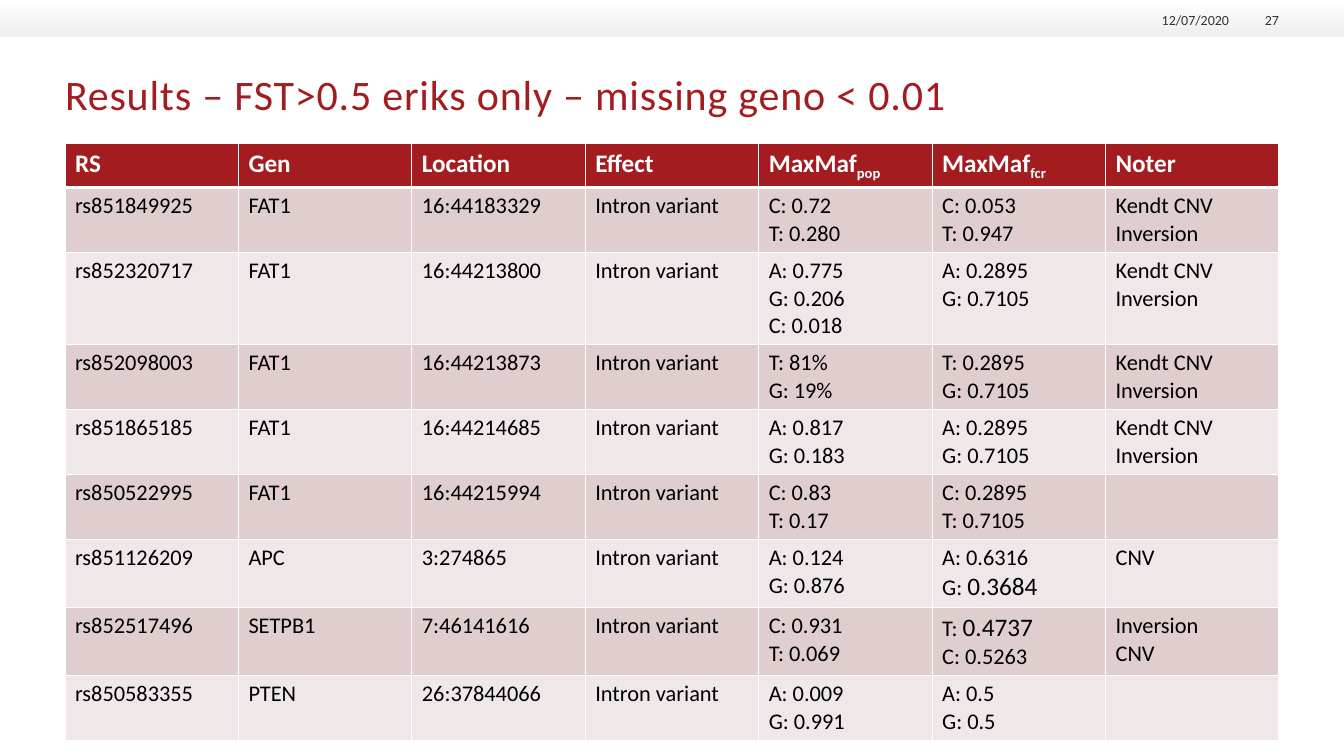
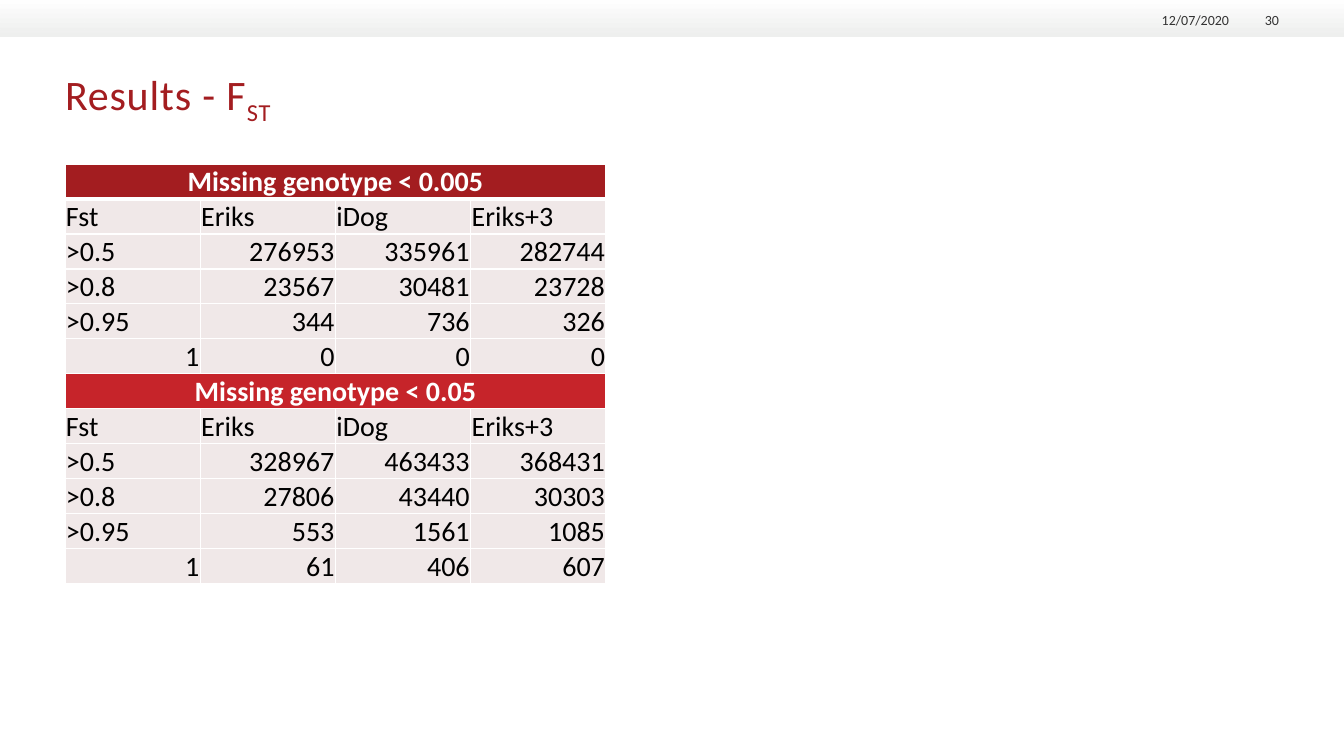
import pptx
import pptx.dml.color
import pptx.enum.shapes
import pptx.enum.text
import pptx.oxml
import pptx.oxml.ns
import pptx.util
import lxml.etree

SLIDE_WIDTH, SLIDE_HEIGHT = 1344, 756
EMU_PER_PX = 12192000 / SLIDE_WIDTH
FONT = "Calibri"
RED, BRIGHT_RED = "A31D20", "C6242A"
ROSE, PALE_ROSE = "E0CDCD", "F0E8E8"
WHITE, BLACK, GREY = "FFFFFF", "000000", "333333"
BAND_END = "EEEFEE"
DATE = "12/07/2020"
MARGIN, CONTENT_WIDTH = 65, 1214
ALIGN = pptx.enum.text.PP_ALIGN
ANCHOR = pptx.enum.text.MSO_ANCHOR
SUBSCRIPT = {"baseline": -25000}
LARGE = {"size": 18}

VARIANT_HEADINGS = ["RS", "Gen", "Location", "Effect",
                    [[("MaxMaf", {}), ("pop", SUBSCRIPT)]],
                    [[("MaxMaf", {}), ("fcr", SUBSCRIPT)]], "Noter"]
KNOWN = ["Kendt CNV", "Inversion"]
VARIANTS = [
    ("rs851849925", "FAT1", "16:44183329", ["C: 0.72", "T: 0.280"], ["C: 0.053", "T: 0.947"], KNOWN),
    ("rs852320717", "FAT1", "16:44213800", ["A: 0.775", "G: 0.206", "C: 0.018"],
     ["A: 0.2895", "G: 0.7105"], KNOWN),
    ("rs852098003", "FAT1", "16:44213873", ["T: 81%", "G: 19%"], ["T: 0.2895", "G: 0.7105"], KNOWN),
    ("rs851865185", "FAT1", "16:44214685", ["A: 0.817", "G: 0.183"], ["A: 0.2895", "G: 0.7105"], KNOWN),
    ("rs850522995", "FAT1", "16:44215994", ["C: 0.83", "T: 0.17"], ["C: 0.2895", "T: 0.7105"], ""),
    ("rs851126209", "APC", "3:274865", ["A: 0.124", "G: 0.876"],
     ["A: 0.6316", [("G: ", {}), ("0.3684", LARGE)]], "CNV"),
    ("rs852517496", "SETPB1", "7:46141616", ["C: 0.931", "T: 0.069"],
     [[("T: ", {}), ("0.4737", LARGE)], "C: 0.5263"], ["Inversion", "CNV"]),
    ("rs850583355", "PTEN", "26:37844066", ["A: 0.009", "G: 0.991"], ["A: 0.5", "G: 0.5"], ""),
]
VARIANT_ROW_HEIGHTS = [44, 65, 92, 65, 65, 65, 68, 68, 65]

COUNT_HEADINGS = ("Fst", "Eriks", "iDog", "Eriks+3")
COUNT_GROUPS = [
    ("Missing genotype < 0.005", RED, [
        (">0.5", "276953", "335961", "282744"),
        (">0.8", "23567", "30481", "23728"),
        (">0.95", "344", "736", "326"),
        ("1", "0", "0", "0")]),
    ("Missing genotype < 0.05", BRIGHT_RED, [
        (">0.5", "328967", "463433", "368431"),
        (">0.8", "27806", "43440", "30303"),
        (">0.95", "553", "1561", "1085"),
        ("1", "61", "406", "607")]),
]
COUNT_ROW_HEIGHT = 35


def px(length):
    return pptx.util.Emu(round(length * EMU_PER_PX))


def color(value):
    return pptx.dml.color.RGBColor.from_string(value)


def write_text(frame, text, size=16, fill=BLACK, bold=False, align=ALIGN.LEFT, spacing=None):
    paragraphs = [text] if isinstance(text, str) else text
    for index, content in enumerate(paragraphs):
        paragraph = frame.add_paragraph() if index else frame.paragraphs[0]
        paragraph.alignment = align
        pieces = [(content, {})] if isinstance(content, str) else content
        for words, changes in pieces:
            run = paragraph.add_run()
            run.text = words
            run.font.name = FONT
            run.font.size = pptx.util.Pt(changes.get("size", size))
            run.font.bold = bold
            run.font.color.rgb = color(fill)
            properties = run._r.get_or_add_rPr()
            if spacing:
                properties.set("spc", str(spacing))
            if "baseline" in changes:
                properties.set("baseline", str(changes["baseline"]))


def add_text(slide, left, top, width, height, text, anchor=ANCHOR.TOP, **text_format):
    frame = slide.shapes.add_textbox(px(left), px(top), px(width), px(height)).text_frame
    frame.word_wrap = True
    frame.vertical_anchor = anchor
    frame.margin_left = frame.margin_top = frame.margin_right = frame.margin_bottom = 0
    write_text(frame, text, **text_format)


def add_band(slide):
    band = slide.shapes.add_shape(pptx.enum.shapes.MSO_SHAPE.RECTANGLE, 0, 0, px(SLIDE_WIDTH), px(37))
    band.shadow.inherit = False
    band.line.fill.background()
    band.fill.gradient()
    band.fill.gradient_angle = 270
    for stop, position, value in zip(band.fill.gradient_stops, (0, 1), (WHITE, BAND_END)):
        stop.position = position
        stop.color.rgb = color(value)
    end_color = band._element.spPr.findall(".//" + pptx.oxml.ns.qn("a:srgbClr"))[-1]
    lxml.etree.SubElement(end_color, pptx.oxml.ns.qn("a:alpha"), val="93000")


def add_slide(presentation, title, number):
    slide = presentation.slides.add_slide(presentation.slide_layouts[6])
    add_band(slide)
    add_text(slide, MARGIN, 69, CONTENT_WIDTH, 96, title, size=30, fill=RED, spacing=60)
    for left, width, text in ((1139, 90, DATE), (1237, 42, number)):
        add_text(slide, left, 9, width, 19, text, anchor=ANCHOR.BOTTOM,
                 size=10, fill=GREY, align=ALIGN.RIGHT)
    return slide


def add_borders(cell, row):
    properties = cell._tc.get_or_add_tcPr()
    points = {"L": 1, "R": 1, "T": 3 if row == 1 else 1, "B": 3 if row == 0 else 1}
    for side, width in points.items():
        properties.append(pptx.oxml.parse_xml(
            f'<a:ln{side} {pptx.oxml.ns.nsdecls("a")} w="{pptx.util.Pt(width)}">'
            f'<a:solidFill><a:srgbClr val="{WHITE}"/></a:solidFill></a:ln{side}>'))


def add_grid(slide, top, width, row_heights, column_count):
    table = slide.shapes.add_table(len(row_heights), column_count, px(MARGIN), px(top),
                                   px(width), px(sum(row_heights))).table
    table.first_row = table.horz_banding = False
    for row, height in zip(table.rows, row_heights):
        row.height = px(height)
    return table


def fill_cell(table, row, column, text, background, **text_format):
    cell = table.cell(row, column)
    add_borders(cell, row)
    cell.fill.solid()
    cell.fill.fore_color.rgb = color(background)
    if text:
        write_text(cell.text_frame, text, **text_format)
    return cell


def add_variant_table(slide):
    table = add_grid(slide, 143, CONTENT_WIDTH, VARIANT_ROW_HEIGHTS, len(VARIANT_HEADINGS))
    for column, heading in enumerate(VARIANT_HEADINGS):
        fill_cell(table, 0, column, heading, RED, size=18, fill=WHITE, bold=True)
    for row, variant in enumerate(VARIANTS, 1):
        values = variant[:3] + ("Intron variant",) + variant[3:]
        for column, value in enumerate(values):
            fill_cell(table, row, column, value, ROSE if row % 2 else PALE_ROSE)


def add_count_cell(table, row, column, text, background=PALE_ROSE, **text_format):
    cell = fill_cell(table, row, column, text, background, size=20, **text_format)
    cell.vertical_anchor = ANCHOR.BOTTOM
    cell.margin_left = cell.margin_top = cell.margin_right = px(1)
    cell.margin_bottom = 0


def add_count_table(slide):
    row_count = sum(len(rows) + 2 for _, _, rows in COUNT_GROUPS)
    column_count = len(COUNT_HEADINGS)
    table = add_grid(slide, 164, 541, [COUNT_ROW_HEIGHT] * row_count, column_count)
    row = 0
    for heading, background, counts in COUNT_GROUPS:
        for column in range(column_count):
            add_count_cell(table, row, column, "" if column else heading, background,
                           fill=WHITE, bold=True, align=ALIGN.CENTER)
        table.cell(row, 0).merge(table.cell(row, column_count - 1))
        for row, values in enumerate([COUNT_HEADINGS] + counts, row + 1):
            for column, value in enumerate(values):
                add_count_cell(table, row, column, value,
                               align=ALIGN.RIGHT if value.isdigit() else ALIGN.LEFT)
        row += 1


def main():
    presentation = pptx.Presentation()
    presentation.slide_width = px(SLIDE_WIDTH)
    presentation.slide_height = px(SLIDE_HEIGHT)
    add_variant_table(add_slide(presentation, "Results – FST>0.5 eriks only – missing geno < 0.01", "27"))
    add_count_table(add_slide(presentation, [[("Results - F", {}), ("ST", SUBSCRIPT)]], "30"))
    presentation.save("out.pptx")


if __name__ == "__main__":
    main()
